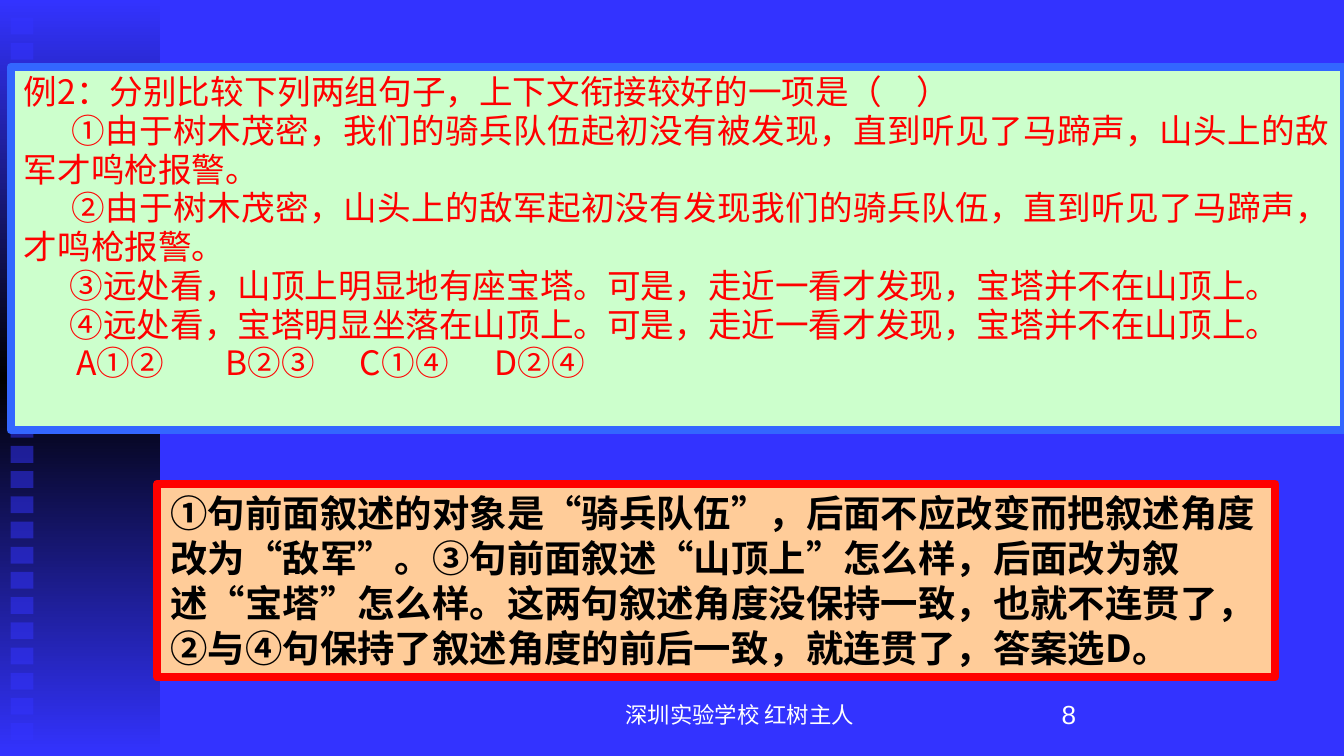
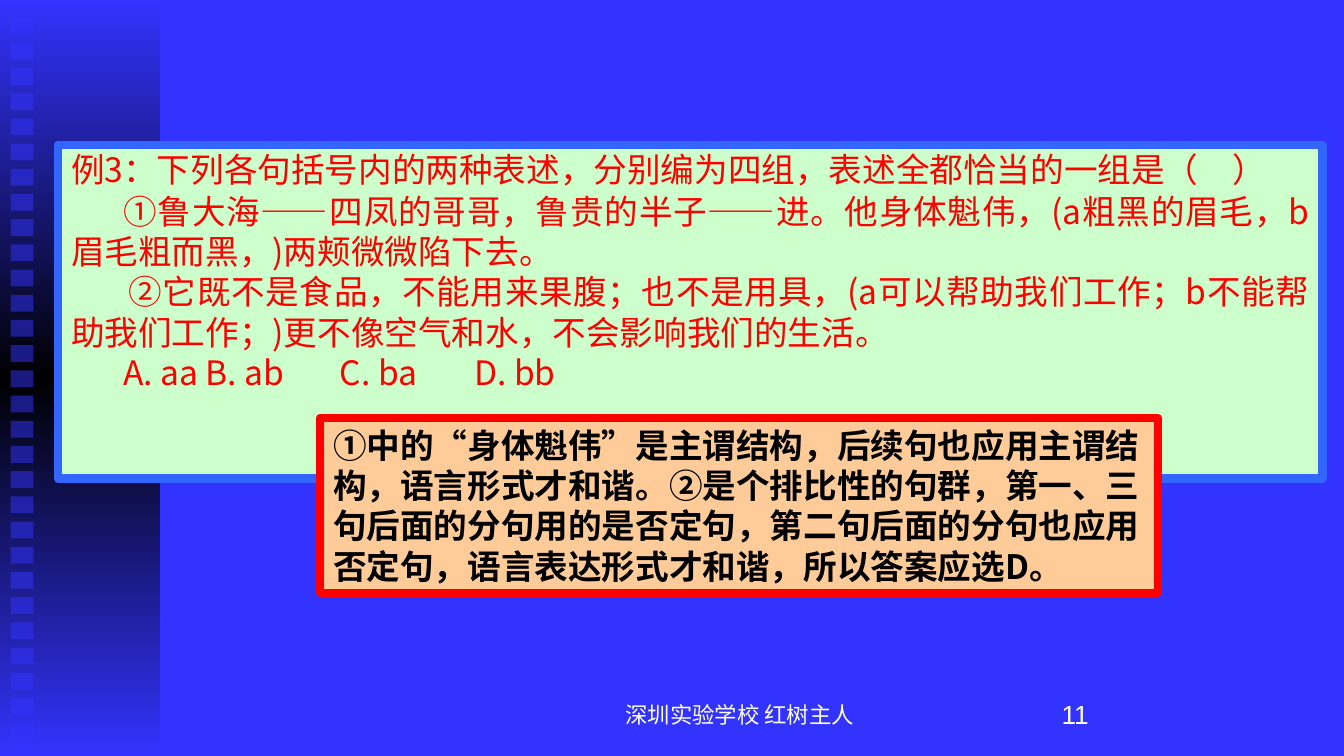
import copy
from dataclasses import dataclass
from typing import Optional

import pptx
import pptx.dml.color
import pptx.enum.shapes
import pptx.enum.text
import pptx.oxml
import pptx.oxml.ns
import pptx.util

ALIGN = pptx.enum.text.PP_ALIGN
ANCHOR = pptx.enum.text.MSO_ANCHOR
SLIDE_WIDTH = pptx.util.Inches(10)
SLIDE_HEIGHT = pptx.util.Inches(5.625)


@dataclass(frozen=True)
class Theme:
    blue: str = "3333FF"
    black: str = "000000"
    white: str = "FFFFFF"
    red: str = "FF0000"
    mint: str = "CCFFCC"
    peach: str = "FFCC99"
    frame_blue: str = "3366FF"
    body_font: str = "Noto Sans CJK SC"
    footer_font: str = "Arial"
    footer_size: float = 12
    number_size: float = 14
    question_size: float = 18
    question_border: float = 4.5
    answer_border: float = 4.25


THEME = Theme()


@dataclass(frozen=True)
class Area:
    """A rectangle in percent of the slide's width and height."""
    left: float
    top: float
    width: float
    height: float

    def lengths(self) -> tuple[int, int, int, int]:
        return (round(SLIDE_WIDTH * self.left / 100), round(SLIDE_HEIGHT * self.top / 100),
                round(SLIDE_WIDTH * self.width / 100), round(SLIDE_HEIGHT * self.height / 100))


@dataclass(frozen=True)
class Line:
    """One paragraph of a question; lengths in inches."""
    text: str
    indent: float = 0
    spacing: float = 1
    tabs: tuple[float, ...] = ()


@dataclass(frozen=True)
class Exercise:
    number: str
    question_area: Area
    question: tuple[Line, ...]
    answer_area: Area
    answer: str
    answer_size: float


FOOTER = "深圳实验学校 红树主人"
FOOTER_AREA = Area(39.2, 91.2, 31.7, 6.58)
NUMBER_AREA = Area(76.7, 91.2, 20.8, 6.58)
BAND_AREA = Area(0, 0, 11.9, 100)
FILM_ROWS = 30
TIGHT = 0.96

EXERCISES = (
    Exercise(
        "8",
        Area(0.8, 8.89, 99.2, 48),
        (
            Line("例2：分别比较下列两组句子，上下文衔接较好的一项是（　）", spacing=TIGHT),
            Line("①由于树木茂密，我们的骑兵队伍起初没有被发现，直到听见了马蹄声，"
                 "山头上的敌军才鸣枪报警。", 0.35, TIGHT),
            Line("②由于树木茂密，山头上的敌军起初没有发现我们的骑兵队伍，"
                 "直到听见了马蹄声，才鸣枪报警。", 0.35, TIGHT),
            Line("③远处看，山顶上明显地有座宝塔。可是，走近一看才发现，宝塔并不在山顶上。",
                 0.34, TIGHT),
            Line("④远处看，宝塔明显坐落在山顶上。可是，走近一看才发现，宝塔并不在山顶上。",
                 0.34, TIGHT),
            Line("\t".join(("A①②", "B②③", "C①④", "D②④")), 0.39, TIGHT, (1.25, 2.04, 2.91)),
        ),
        Area(11.7, 64, 83.2, 25.6),
        "①句前面叙述的对象是“骑兵队伍”，后面不应改变而把叙述角度改为“敌军”。"
        "③句前面叙述“山顶上”怎么样，后面改为叙述“宝塔”怎么样。"
        "这两句叙述角度没保持一致，也就不连贯了，"
        "②与④句保持了叙述角度的前后一致，就连贯了，答案选D。",
        20,
    ),
    Exercise(
        "11",
        Area(4.3, 19.2, 94.1, 44.09),
        (
            Line("例3：下列各句括号内的两种表述，分别编为四组，表述全都恰当的一组是（　）",
                 spacing=TIGHT),
            Line("①鲁大海——四凤的哥哥，鲁贵的半子——进。他身体魁伟，"
                 "(a粗黑的眉毛，b眉毛粗而黑，)两颊微微陷下去。", 0.39),
            Line("②它既不是食品，不能用来果腹；也不是用具，(a可以帮助我们工作；"
                 "b不能帮助我们工作；)更不像空气和水，不会影响我们的生活。", 0.43),
            Line("\t".join(("A. aa", "B. ab", "C. ba", "D. bb")), 0.39, 1, (1.28, 2.19, 3.1)),
        ),
        Area(23.8, 55.29, 62.4, 23.11),
        "①中的“身体魁伟”是主谓结构，后续句也应用主谓结构，语言形式才和谐。"
        "②是个排比性的句群，第一、三句后面的分句用的是否定句，"
        "第二句后面的分句也应用否定句，语言表达形式才和谐，所以答案应选D。",
        18,
    ),
)


def rgb(color: str):
    return pptx.dml.color.RGBColor.from_string(color)


def add_element(parent, tag: str, **attributes: str):
    child = pptx.oxml.parse_xml(f"<a:{tag} {pptx.oxml.ns.nsdecls('a')}/>")
    for name, value in attributes.items():
        child.set(name, value)
    parent.append(child)
    return child


def write(para, text: str, *, size: float, color: str, font: str = THEME.body_font,
          bold: bool = False, align=ALIGN.LEFT, spacing: float = 1,
          margin: float = 0, indent: float = 0, tabs: tuple[float, ...] = ()) -> None:
    """Put formatted text into a paragraph."""
    para.alignment = align
    para.line_spacing = spacing
    properties = para._p.get_or_add_pPr()
    properties.set("marL", str(pptx.util.Inches(margin)))
    properties.set("indent", str(pptx.util.Inches(indent)))
    if tabs:
        stops = add_element(properties, "tabLst")
        for position in tabs:
            add_element(stops, "tab", pos=str(pptx.util.Inches(position)), algn="l")
    span = para.add_run()
    span.text = text
    span.font.size = pptx.util.Pt(size)
    span.font.bold = bold
    span.font.name = font
    span.font.color.rgb = rgb(color)
    run_properties = span._r.get_or_add_rPr()
    run_properties.set("lang", "zh-CN")
    add_element(run_properties, "ea", typeface=THEME.body_font)


def add_box(page, area: Area, fill: Optional[str] = None,
            border: Optional[str] = None, border_width: float = 0):
    """Draw a plain rectangle without shadow."""
    box = page.shapes.add_shape(pptx.enum.shapes.MSO_SHAPE.RECTANGLE, *area.lengths())
    box.shadow.inherit = False
    if fill:
        box.fill.solid()
        box.fill.fore_color.rgb = rgb(fill)
    if border:
        box.line.color.rgb = rgb(border)
        box.line.width = pptx.util.Pt(border_width)
    else:
        box.line.fill.background()
    box.text_frame.word_wrap = True
    box.text_frame.vertical_anchor = ANCHOR.TOP
    return box


def add_film_band(page) -> None:
    """Draw the gradient band and its column of translucent squares."""
    band = add_box(page, BAND_AREA)
    band.fill.gradient()
    band.fill.gradient_angle = 90
    stop_list = band._element.spPr.find(".//" + pptx.oxml.ns.qn("a:gsLst"))
    stop_list.insert(1, copy.deepcopy(stop_list[0]))
    colors = (THEME.blue, THEME.black, THEME.blue)
    for stop, color, position in zip(band.fill.gradient_stops, colors, (0, 0.5, 1)):
        stop.color.rgb = rgb(color)
        stop.position = position

    step = 100 / FILM_ROWS
    for row in range(FILM_ROWS - 1):
        square = add_box(page, Area(0.8, (row + 0.7) * step, 1.7, step * 2 / 3), THEME.blue)
        color = square._element.spPr.find(".//" + pptx.oxml.ns.qn("a:srgbClr"))
        add_element(color, "alpha", val="50000")


def add_footer(page, area: Area, text: str, **text_format) -> None:
    box = page.shapes.add_textbox(*area.lengths())
    box.text_frame.word_wrap = True
    box.text_frame.vertical_anchor = ANCHOR.MIDDLE
    write(box.text_frame.paragraphs[0], text, color=THEME.white,
          font=THEME.footer_font, **text_format)


def add_exercise(deck, exercise: Exercise) -> None:
    page = deck.slides.add_slide(deck.slide_layouts[6])
    page.background.fill.solid()
    page.background.fill.fore_color.rgb = rgb(THEME.blue)
    add_film_band(page)

    # Footer and page number
    add_footer(page, FOOTER_AREA, FOOTER, size=THEME.footer_size, align=ALIGN.CENTER)
    add_footer(page, NUMBER_AREA, exercise.number, size=THEME.number_size, margin=0.13)

    # Question
    frame = add_box(page, exercise.question_area, THEME.mint,
                    THEME.frame_blue, THEME.question_border).text_frame
    for index, line in enumerate(exercise.question):
        para = frame.add_paragraph() if index else frame.paragraphs[0]
        write(para, line.text, size=THEME.question_size, color=THEME.red,
              align=ALIGN.JUSTIFY if index else ALIGN.LEFT,
              spacing=line.spacing, indent=line.indent, tabs=line.tabs)

    # Answer
    frame = add_box(page, exercise.answer_area, THEME.peach,
                    THEME.red, THEME.answer_border).text_frame
    write(frame.paragraphs[0], exercise.answer, size=exercise.answer_size,
          color=THEME.black, bold=True)


def main() -> None:
    deck = pptx.Presentation()
    deck.slide_width = SLIDE_WIDTH
    deck.slide_height = SLIDE_HEIGHT
    for exercise in EXERCISES:
        add_exercise(deck, exercise)
    deck.save("out.pptx")


if __name__ == "__main__":
    main()
